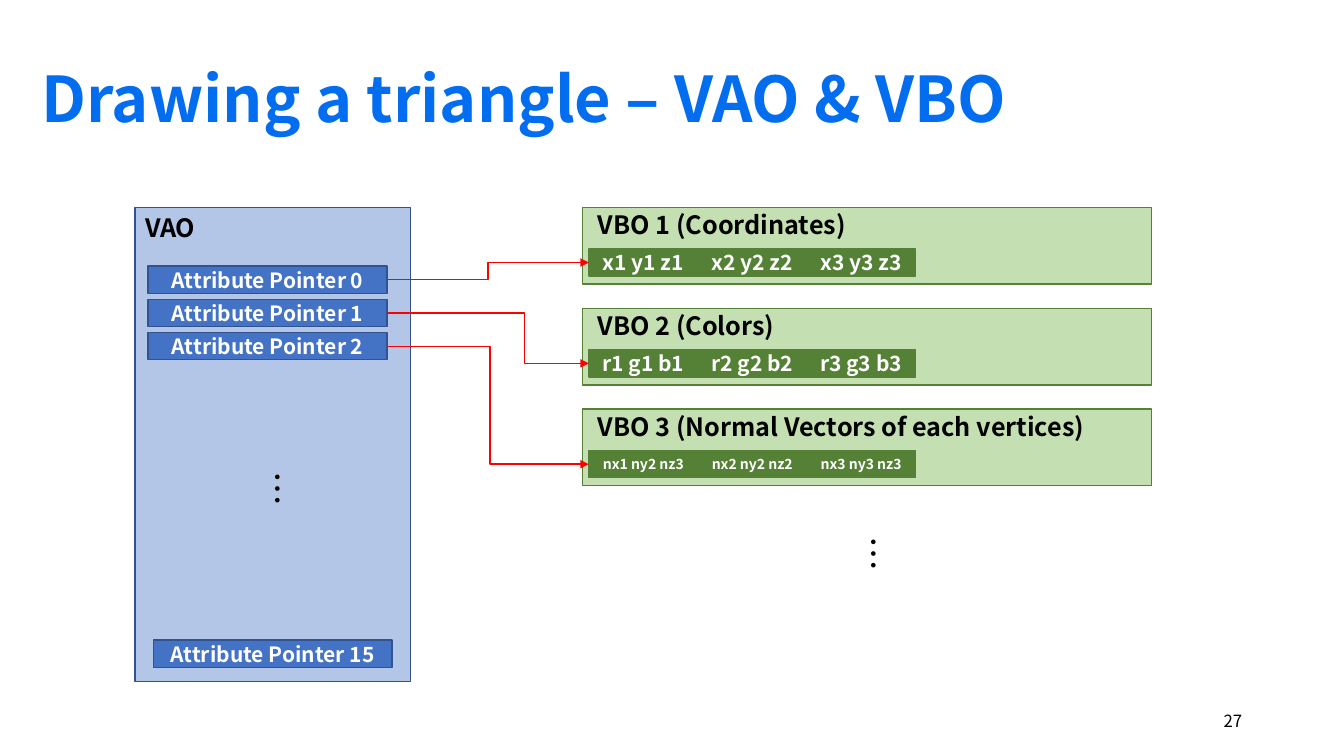
from lxml import etree
from pptx import Presentation
from pptx import util as u
from pptx.dml.color import RGBColor
from pptx.enum import shapes, text
from pptx.oxml.ns import qn

COLORS = {
    "title": "026DEE", "black": "000000", "white": "FFFFFF", "arrow": "FF0000",
    "vao": "B3C6E7", "pointer": "4472C4", "vao_line": "31538F",
    "vbo": "C4E0B2", "vertex": "548135",
}


class Diagram:
    font = "Noto Sans CJK KR"

    def __init__(self, slide):
        self.slide = slide

    def color(self, name):
        return RGBColor.from_string(COLORS[name])

    def set_words(self, frame, words, size, color, bold=True, align=None):
        frame.text = words
        line = frame.paragraphs[0]
        line.alignment = align
        font = line.runs[0].font
        style = {"name": self.font, "size": u.Pt(size), "bold": bold}
        for key, value in style.items():
            setattr(font, key, value)
        font.color.rgb = self.color(color)

    def label(self, words, box, size, color="black", bold=True, turn=0, layout=None, align=None):
        shape = self.slide.shapes.add_textbox(*map(u.Inches, box))
        shape.rotation = turn
        frame = shape.text_frame
        settings = {"word_wrap": True, "auto_size": text.MSO_AUTO_SIZE.SHAPE_TO_FIT_TEXT}
        for key, value in (layout or settings).items():
            setattr(frame, key, value)
        self.set_words(frame, words, size, color, bold, align)

    def box(self, box, fill, line, words="", size=15):
        shape = self.slide.shapes.add_shape(shapes.MSO_SHAPE.RECTANGLE, *map(u.Inches, box))
        shape.shadow.inherit = False
        shape.fill.solid()
        shape.fill.fore_color.rgb = self.color(fill)
        shape.line.color.rgb = self.color(line)
        shape.line.width = u.Pt(1)
        if words:
            shape.text_frame.vertical_anchor = text.MSO_ANCHOR.MIDDLE
            self.set_words(shape.text_frame, words, size, "white", align=text.PP_ALIGN.CENTER)

    def arrow(self, start, end, bend):
        link = self.slide.shapes.add_connector(
            shapes.MSO_CONNECTOR.ELBOW, *map(u.Inches, start + end))
        link.line.color.rgb = self.color("arrow")
        link.line.width = u.Pt(1)
        properties = link._element.spPr
        etree.SubElement(properties.find(qn("a:ln")), qn("a:tailEnd"), type="triangle")
        etree.SubElement(properties, qn("a:effectLst"))
        guides = properties.find(qn("a:prstGeom")).get_or_add_avLst()
        etree.SubElement(guides, qn("a:gd"), name="adj1", fmla=f"val {round(bend * 100000)}")


def main():
    deck = Presentation()
    deck.slide_width, deck.slide_height = u.Inches(13.33), u.Inches(7.5)
    diagram = Diagram(deck.slides.add_slide(deck.slide_layouts[6]))

    # Title and page number
    diagram.label(" Drawing a triangle – VAO & VBO", (0.17, 0.54, 12.23, 0.86), 45, "title")
    diagram.label("27", (9.42, 6.95, 3, 0.4), 12, bold=False, align=text.PP_ALIGN.RIGHT,
                  layout={"word_wrap": True, "vertical_anchor": text.MSO_ANCHOR.MIDDLE})

    # VAO with its attribute pointers
    row_height = 0.27
    pointer_left, pointer_top, pointer_width, pointer_step = 1.47, 2.64, 2.37, 0.33
    diagram.box((1.34, 2.06, 2.73, 4.7), "vao", "vao_line")
    diagram.label("VAO", (1.34, 2.06, 0.73, 0.4), 18)
    pointers = [(i, pointer_left, pointer_top + i * pointer_step) for i in range(3)]
    for number, left, top in pointers + [(15, 1.52, 6.35)]:
        diagram.box((left, top, pointer_width, row_height), "pointer", "vao_line",
                    f"Attribute Pointer {number}")

    # VBOs with one cell per vertex
    vbo_top, vbo_step = 2.06, 1
    vertex_left, vertex_width, vertex_offset = 5.84, 1.08, 0.41
    vbos = [
        ("VBO 1 (Coordinates)", 2.68, 15, ["x1 y1 z1", "x2 y2 z2", "x3 y3 z3"]),
        ("VBO 2 (Colors)", 2, 15, ["r1 g1 b1", "r2 g2 b2", "r3 g3 b3"]),
        ("VBO 3 (Normal Vectors of each vertices)", 5.1, 10,
         ["nx1 ny2 nz3", "nx2 ny2 nz2", "nx3 ny3 nz3"]),
    ]
    for i, (heading, width, size, vertices) in enumerate(vbos):
        top = vbo_top + i * vbo_step
        diagram.box((5.78, top, 5.64, 0.76), "vbo", "vertex")
        diagram.label(heading, (5.83, top - 0.03, width, 0.4), 18)
        for j, vertex in enumerate(vertices):
            diagram.box((vertex_left + j * vertex_width, top + vertex_offset,
                         vertex_width, row_height), "vertex", "vertex", vertex, size)

    # Arrows from each pointer to its VBO
    for i, bend in enumerate([0.5, 0.68, 0.51]):
        start = (pointer_left + pointer_width, pointer_top + i * pointer_step + row_height / 2)
        end = (vertex_left, vbo_top + i * vbo_step + vertex_offset + row_height / 2)
        diagram.arrow(start, end, bend)

    # Ellipses for the remaining items
    for left, top in [(2.53, 4.55), (8.44, 5.19)]:
        diagram.label("…", (left, top, 0.46, 0.52), 25, bold=False, turn=90)

    deck.save("out.pptx")


if __name__ == "__main__":
    main()
